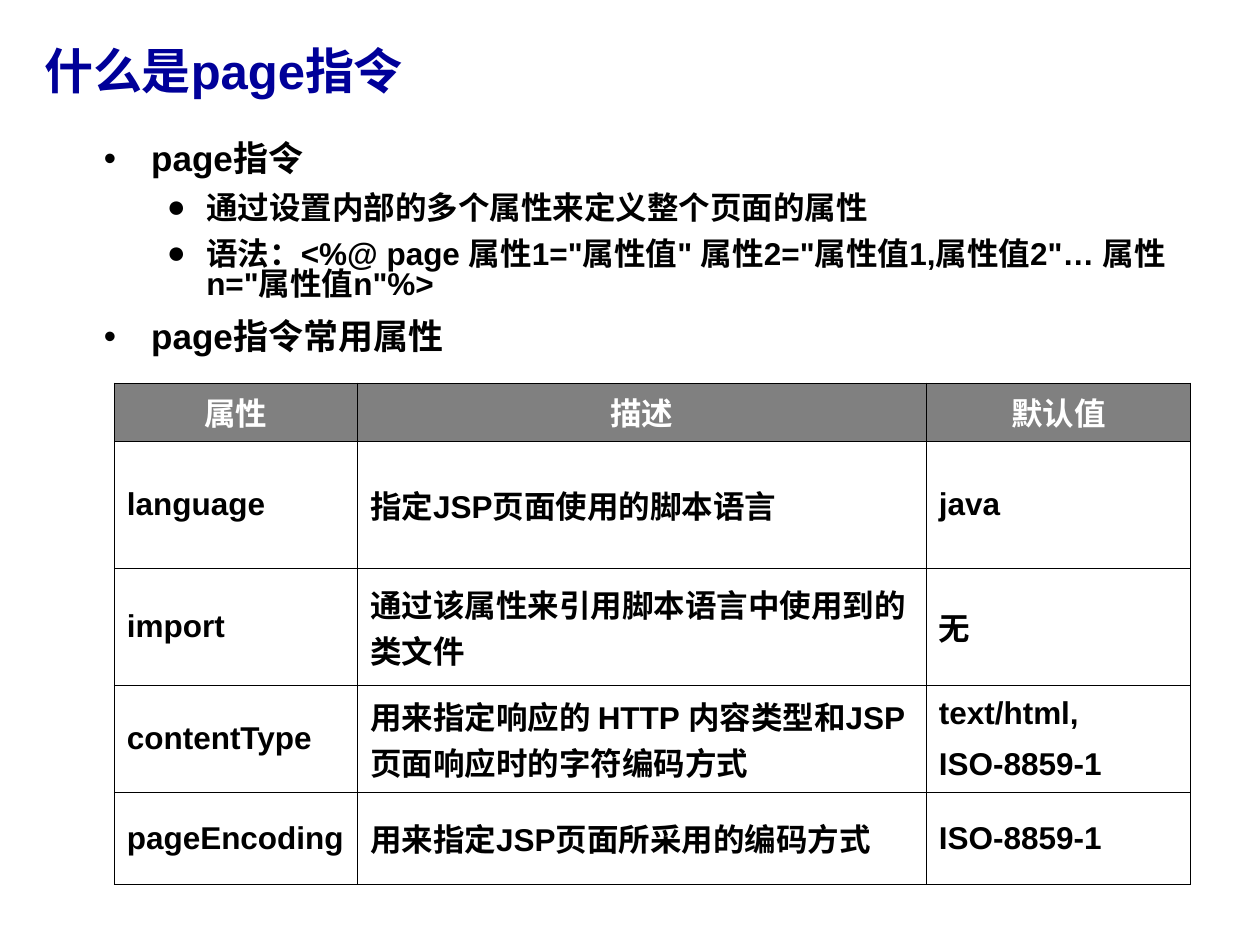
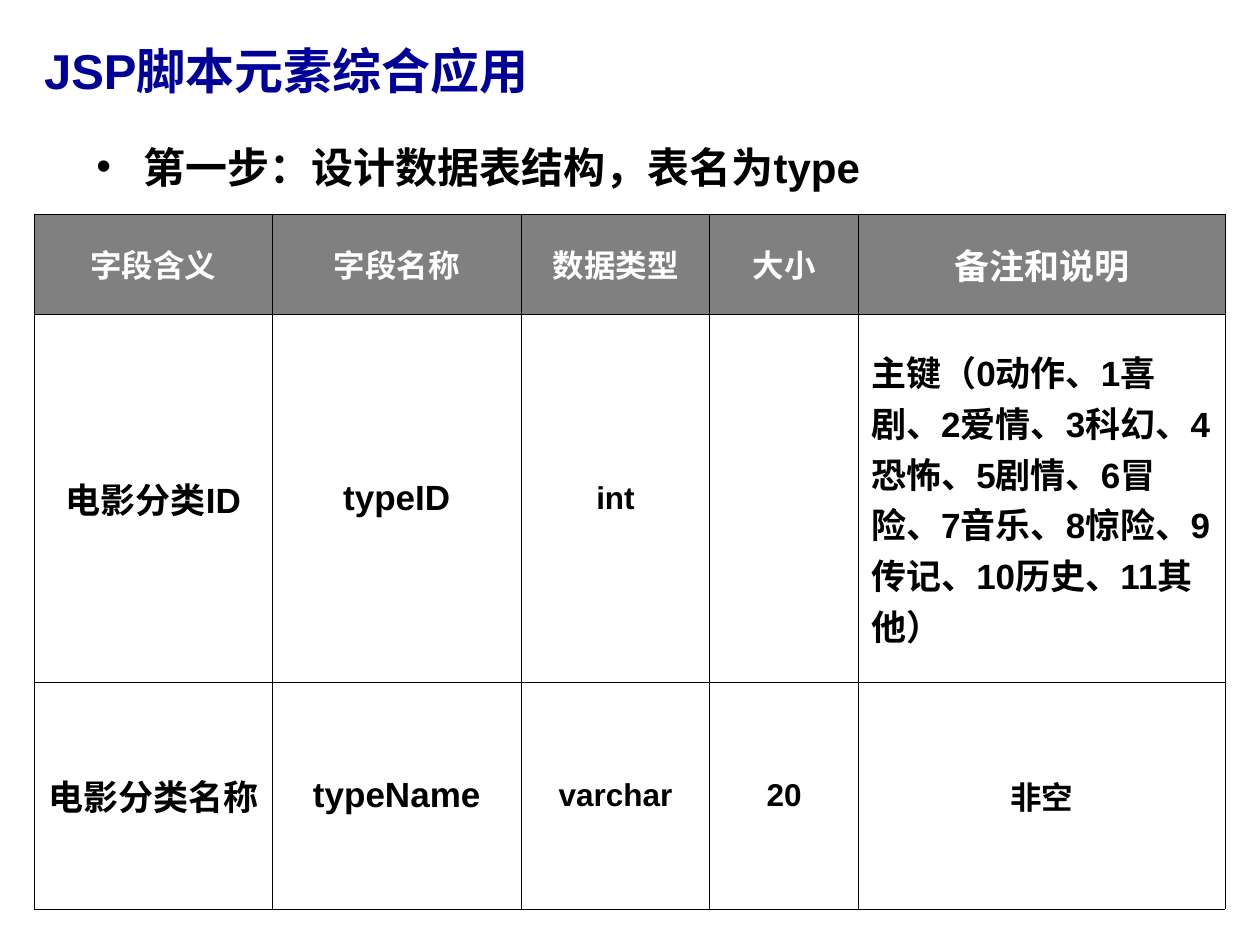
"""Build two slides on the JSP page directive and a data table design."""
from typing import NamedTuple

from lxml.etree import SubElement
from pptx import Presentation
from pptx.dml.color import RGBColor
from pptx.enum.text import MSO_ANCHOR as Anchor, MSO_AUTO_SIZE as AutoSize, PP_ALIGN as Align
from pptx.oxml.ns import qn
from pptx.util import Pt

FONT = "Arial"
COLORS = {"title": "000099", "text": "000000", "header": "808080", "header_text": "FFFFFF"}
TITLE_ONLY = 5
BORDER_WIDTH = Pt(0.45)


class Bullet(NamedTuple):
    text: str
    size: int
    spacing: float
    mark: str = "•"
    indent: float = 27
    hanging: float = 27
    level: int = 0


class Cell(NamedTuple):
    text: str
    size: int = 18
    align: Align = Align.LEFT
    color: str = "text"
    fill: str = ""


def header(text, size=18):
    return Cell(text, size, Align.CENTER, "header_text", "header")


def centered(text, size=18):
    return Cell(text, size, Align.CENTER)


def sub_bullet(text):
    return Bullet(text, 18, 0.8, "●", 58.5, 22.5, 1)


def color_of(name):
    return RGBColor.from_string(COLORS[name])


def style_font(para, size, color):
    para._p.get_or_add_pPr().set("hangingPunct", "0")
    font = para.font
    font.name, font.size, font.bold = FONT, Pt(size), True
    font.color.rgb = color_of(color)


def add_titled_slide(deck, text):
    slide = deck.slides.add_slide(deck.slide_layouts[TITLE_ONLY])
    title = slide.shapes.title
    title.left, title.top, title.width, title.height = Pt(18), Pt(15.84), Pt(648), Pt(48.24)
    frame = title.text_frame
    frame.text = text
    frame.auto_size = AutoSize.NONE
    frame.vertical_anchor = Anchor.MIDDLE
    para = frame.paragraphs[0]
    para.alignment = Align.LEFT
    style_font(para, 28, "title")
    return slide


def set_bullet(para, bullet):
    properties = para._p.get_or_add_pPr()
    properties.set("marL", str(Pt(bullet.indent)))
    properties.set("indent", str(-Pt(bullet.hanging)))
    color = SubElement(properties, qn("a:buClr"))
    SubElement(color, qn("a:srgbClr"), val=COLORS["text"])
    SubElement(properties, qn("a:buFont"), typeface=FONT)
    SubElement(properties, qn("a:buChar"), char=bullet.mark)


def add_bullets(slide, left, top, height, bullets):
    box = slide.shapes.add_textbox(Pt(left), Pt(top), Pt(648), Pt(height))
    frame = box.text_frame
    frame.word_wrap = True
    frame.text = "\n".join(bullet.text for bullet in bullets)
    for index, (para, bullet) in enumerate(zip(frame.paragraphs, bullets)):
        set_bullet(para, bullet)
        para.level = bullet.level
        para.line_spacing = bullet.spacing
        if index:
            para.space_before = Pt(bullet.size / 2)
        style_font(para, bullet.size, "text")


def set_borders(table_cell):
    properties = table_cell._tc.get_or_add_tcPr()
    for side in ("lnL", "lnR", "lnT", "lnB"):
        line = SubElement(properties, qn(f"a:{side}"), w=str(BORDER_WIDTH))
        fill = SubElement(line, qn("a:solidFill"))
        SubElement(fill, qn("a:srgbClr"), val=COLORS["text"])


def fill_cell(table_cell, cell):
    set_borders(table_cell)
    if cell.fill:
        table_cell.fill.solid()
        table_cell.fill.fore_color.rgb = color_of(cell.fill)
    else:
        table_cell.fill.background()
    table_cell.vertical_anchor = Anchor.MIDDLE
    table_cell.text = cell.text
    for index, para in enumerate(table_cell.text_frame.paragraphs):
        para.alignment = cell.align
        if index:
            para.space_before = Pt(cell.size / 2)
        style_font(para, cell.size, cell.color)


def add_grid(slide, left, top, widths, heights, rows):
    table = slide.shapes.add_table(
        len(heights), len(widths), Pt(left), Pt(top), Pt(sum(widths)), Pt(sum(heights))
    ).table
    table.first_row = table.horz_banding = False
    for column, width in zip(table.columns, widths):
        column.width = Pt(width)
    for row, height, cells in zip(table.rows, heights, rows):
        row.height = Pt(height)
        for table_cell, cell in zip(row.cells, cells):
            fill_cell(table_cell, cell)


def add_page_directive(deck):
    slide = add_titled_slide(deck, "什么是page指令")
    add_bullets(slide, 52.3, 77.4, 136, [
        Bullet("page指令", 20, 0.9),
        sub_bullet("通过设置内部的多个属性来定义整个页面的属性"),
        sub_bullet('语法：<%@ page 属性1="属性值" 属性2="属性值1,属性值2"… 属性n="属性值n"%>'),
        Bullet("page指令常用属性", 20, 0.9),
    ])
    attributes = [
        ("language", "指定JSP页面使用的脚本语言", "java"),
        ("import", "通过该属性来引用脚本语言中使用到的类文件", "无"),
        ("contentType", "用来指定响应的 HTTP 内容类型和JSP页面响应时的字符编码方式",
         "text/html,\nISO-8859-1"),
        ("pageEncoding", "用来指定JSP页面所采用的编码方式", "ISO-8859-1"),
    ]
    rows = [[header(text) for text in ("属性", "描述", "默认值")]]
    rows += [[Cell(text) for text in attribute] for attribute in attributes]
    add_grid(slide, 65.3, 218.9, (139, 325, 151), (33.2, 72.7, 67, 61, 52.5), rows)


def add_type_table(deck):
    slide = add_titled_slide(deck, "JSP脚本元素综合应用")
    add_bullets(slide, 48, 82.8, 44.6, [
        Bullet("第一步：设计数据表结构，表名为type", 24, 0.8),
    ])
    genres = "主键（0动作、1喜剧、2爱情、3科幻、4恐怖、5剧情、6冒险、7音乐、8惊险、9传记、10历史、11其他）"
    rows = [
        [header(text) for text in ("字段含义", "字段名称", "数据类型", "大小")]
        + [header("备注和说明", 20)],
        [centered("电影分类ID", 20), centered("typeID", 20), centered("int"),
         centered(""), Cell(genres, 20)],
        [centered("电影分类名称", 20), centered("typeName", 20), centered("varchar"),
         centered("20"), centered("非空")],
    ]
    add_grid(slide, 19.6, 122.4, (136, 142.3, 107.7, 85, 209.5), (57.2, 210.2, 129.6), rows)


def main():
    deck = Presentation()
    deck.slide_width, deck.slide_height = Pt(720), Pt(540)
    add_page_directive(deck)
    add_type_table(deck)
    deck.save("out.pptx")


if __name__ == "__main__":
    main()
